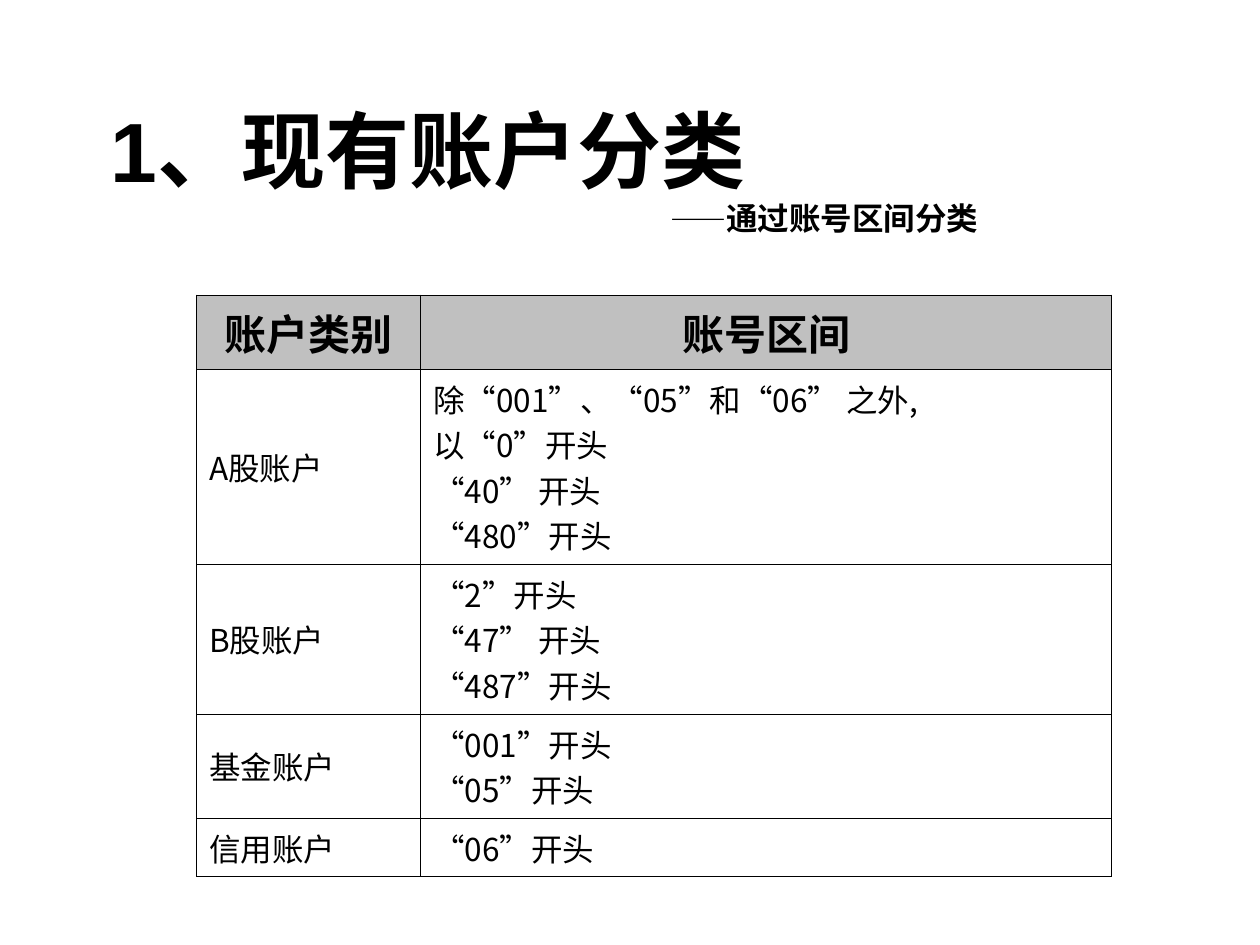
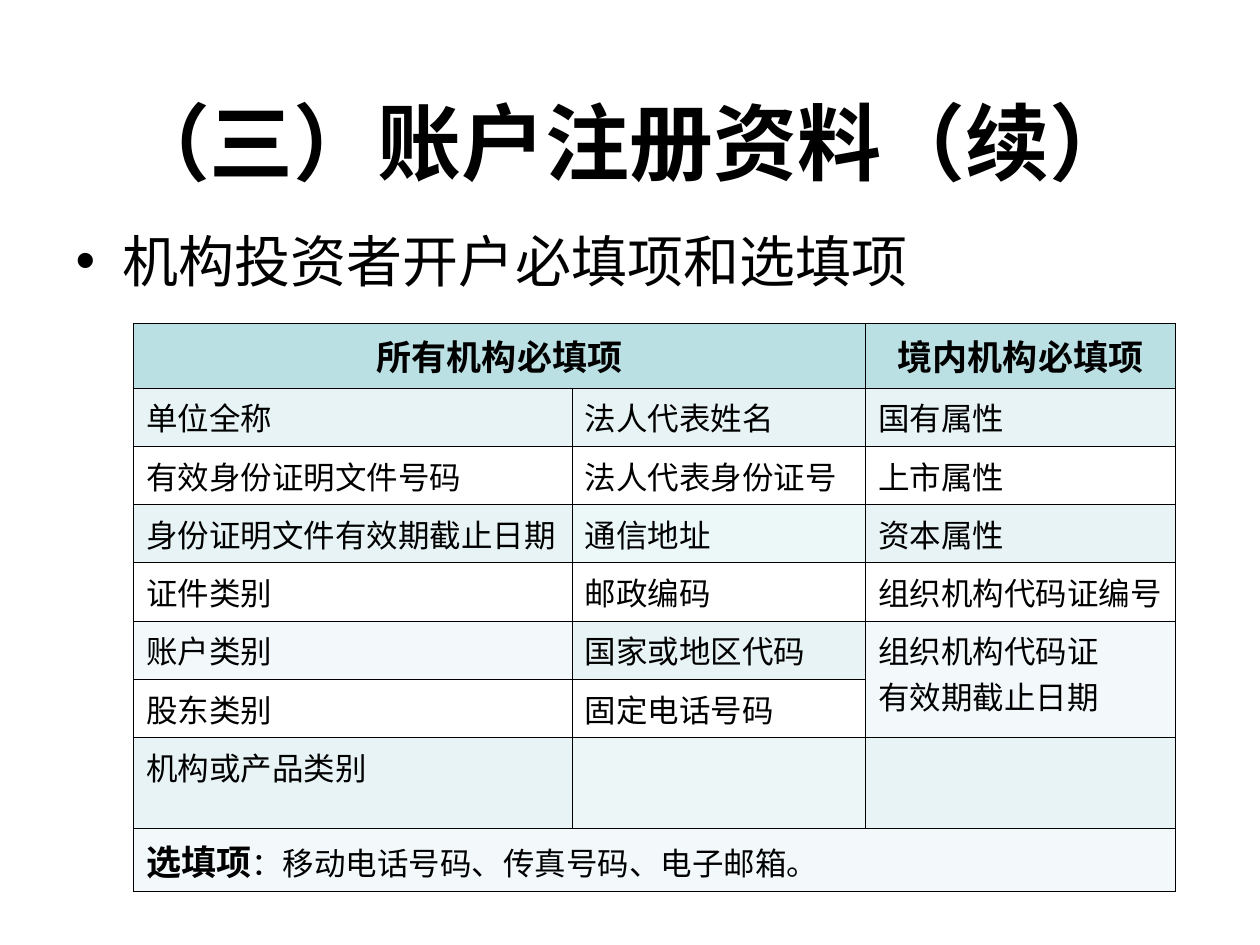
from pptx import Presentation
from pptx.dml.color import RGBColor
from pptx.enum import text as tx
from pptx.oxml import xmlchemy as xc
from pptx.util import Inches, Pt

BLACK = RGBColor(0, 0, 0)
WHITE = RGBColor(0xFF, 0xFF, 0xFF)
GREY = RGBColor(0xC0, 0xC0, 0xC0)
TEAL = RGBColor(0xBB, 0xE0, 0xE3)
MIST = RGBColor(0xE7, 0xF3, 0xF4)
FOAM = RGBColor(0xEC, 0xF7, 0xF8)
HAZE = RGBColor(0xED, 0xF6, 0xF7)
PALE = RGBColor(0xF3, 0xF9, 0xFA)

ARIAL, SC, JP = "Arial", "Noto Sans CJK SC", "Noto Sans CJK JP"
LEFT, MID = tx.PP_ALIGN.LEFT, tx.PP_ALIGN.CENTER
HEAD = {"size": Pt(48), "bold": True}


class Deck:
    def __init__(self):
        self.prs = Presentation()
        self.prs.slide_width, self.prs.slide_height = Inches(10), Inches(7.5)
        self.slide = None

    def page(self, layout):
        self.slide = self.prs.slides.add_slide(self.prs.slide_layouts[layout])

    def words(self, para, words, align=LEFT, **style):
        """Add words as one run per line, with line breaks between them."""
        para.alignment = align
        style = {"name": ARIAL, "size": Pt(18), "bold": False, **style}
        for i, line in enumerate(words.split("\n")):
            if i:
                para.add_line_break()
            run = para.add_run()
            run.text = line
            for key, value in style.items():
                setattr(run.font, key, value)
            run.font.color.rgb = BLACK
            east = xc.OxmlElement("a:ea")
            east.set("typeface", SC if style["name"] == ARIAL else style["name"])
            run.font._element.find("{*}latin").addnext(east)

    def place(self, holder, box, anchor):
        """Move a placeholder and return its first paragraph."""
        for key, value in zip(("left", "top", "width", "height"), box):
            setattr(holder, key, Inches(value))
        frame = holder.text_frame
        form = {"word_wrap": True, "auto_size": tx.MSO_AUTO_SIZE.NONE,
                "vertical_anchor": anchor}
        for key, value in form.items():
            setattr(frame, key, value)
        return frame.paragraphs[0]

    def title(self, box):
        return self.place(self.slide.shapes.title, box, tx.MSO_ANCHOR.MIDDLE)

    def list(self, box, words):
        para = self.place(self.slide.placeholders[1], box, tx.MSO_ANCHOR.TOP)
        para.space_before = Pt(0)
        self.words(para, words, size=Pt(32))

    def edge(self, cell):
        props = cell._tc.get_or_add_tcPr()
        for side in "LRTB":
            line = xc.OxmlElement(f"a:ln{side}")
            line.set("w", str(Pt(0.45)))
            fill = xc.OxmlElement("a:solidFill")
            tint = xc.OxmlElement("a:srgbClr")
            tint.set("val", str(BLACK))
            fill.append(tint)
            line.append(fill)
            props.append(line)

    def table(self, spot, cols, rows, merges=()):
        """Draw an empty ruled white table."""
        left, top = map(Inches, spot)
        grid = self.slide.shapes.add_table(
            len(rows), len(cols), left, top,
            Inches(sum(cols)), Inches(sum(rows))).table
        grid.first_row = grid.horz_banding = False
        for col, width in zip(grid.columns, cols):
            col.width = Inches(width)
        for row, height in zip(grid.rows, rows):
            row.height = Inches(height)
        for cell in grid.iter_cells():
            self.edge(cell)
            self.paint(cell, WHITE)
        for start, end in merges:
            grid.cell(*start).merge(grid.cell(*end))
        return grid

    def paint(self, cell, tint):
        cell.fill.solid()
        cell.fill.fore_color.rgb = tint

    def fill(self, grid, data, anchor, head, body):
        """Put the header row in head style and the rest in body style."""
        for r, line in enumerate(data):
            for c, words in enumerate(line):
                cell = grid.cell(r, c)
                cell.vertical_anchor = anchor
                if words:
                    self.words(cell.text_frame.paragraphs[0], words,
                               **(body if r else head))


def ranges(deck):
    deck.page(5)
    para = deck.title((0.78, 0.78, 8.63, 1.1))
    deck.words(para, "1、现有账户分类", **HEAD)
    sub = deck.slide.shapes.title.text_frame.add_paragraph()
    sub._p.get_or_add_pPr().set("marL", str(Inches(4.44)))
    deck.words(sub, "——", size=Pt(16), bold=True)
    deck.words(sub, "通过账号区间分类", name=SC, bold=True)

    data = [
        ("账户类别", "账号区间"),
        ("A股账户", "除“001”、“05”和“06” 之外,\n以“0”开头\n“40” 开头\n“480”开头"),
        ("B股账户", "“2”开头\n“47” 开头\n“487”开头"),
        ("基金账户", "“001”开头\n“05”开头"),
        ("信用账户", "“06”开头"),
    ]
    grid = deck.table((1.56, 2.34), (1.78, 5.48), (0.59, 1.55, 1.18, 0.83, 0.46))
    for c in range(2):
        deck.paint(grid.cell(0, c), GREY)
    deck.fill(grid, data, tx.MSO_ANCHOR.MIDDLE,
              {"align": MID, "name": SC, "size": Pt(24), "bold": True}, {"name": SC})


def fields(deck):
    deck.page(1)
    deck.words(deck.title((0.5, 0.68, 9, 0.87)), "（三）账户注册资料（续）",
               MID, name=JP, **HEAD)
    deck.list((0.5, 1.75, 8.99, 4.95), "机构投资者开户必填项和选填项")

    data = [
        ("所有机构必填项", "", "境内机构必填项"),
        ("单位全称", "法人代表姓名", "国有属性"),
        ("有效身份证明文件号码", "法人代表身份证号", "上市属性"),
        ("身份证明文件有效期截止日期", "通信地址", "资本属性"),
        ("证件类别", "邮政编码", "组织机构代码证编号"),
        ("账户类别", "国家或地区代码", "组织机构代码证"),
        ("股东类别", "固定电话号码", ""),
        ("机构或产品类别", "", ""),
    ]
    tints = {0: (TEAL,) * 3, 1: (MIST,) * 3, 3: (MIST, FOAM, MIST),
             5: (PALE, MIST, PALE), 7: (MIST, HAZE, MIST), 8: (PALE,) * 3}
    grid = deck.table((1.06, 2.57), (3.48, 2.33, 2.46),
                      (0.51, *[0.46] * 6, 0.72, 0.5),
                      [((0, 0), (0, 1)), ((5, 2), (6, 2)), ((8, 0), (8, 2))])
    for r, row in tints.items():
        for c, tint in enumerate(row):
            deck.paint(grid.cell(r, c), tint)
    bold = {"size": Pt(20), "bold": True}
    deck.fill(grid, data, tx.MSO_ANCHOR.TOP, {"align": MID, **bold}, {})
    deck.words(grid.cell(5, 2).text_frame.add_paragraph(), "有效期截止日期")
    last = grid.cell(8, 0)
    last.vertical_anchor = tx.MSO_ANCHOR.MIDDLE
    note = last.text_frame.paragraphs[0]
    deck.words(note, "选填项", **bold)
    deck.words(note, "：移动电话号码、传真号码、电子邮箱。")


def main():
    deck = Deck()
    ranges(deck)
    fields(deck)
    deck.prs.save("out.pptx")


if __name__ == "__main__":
    main()
